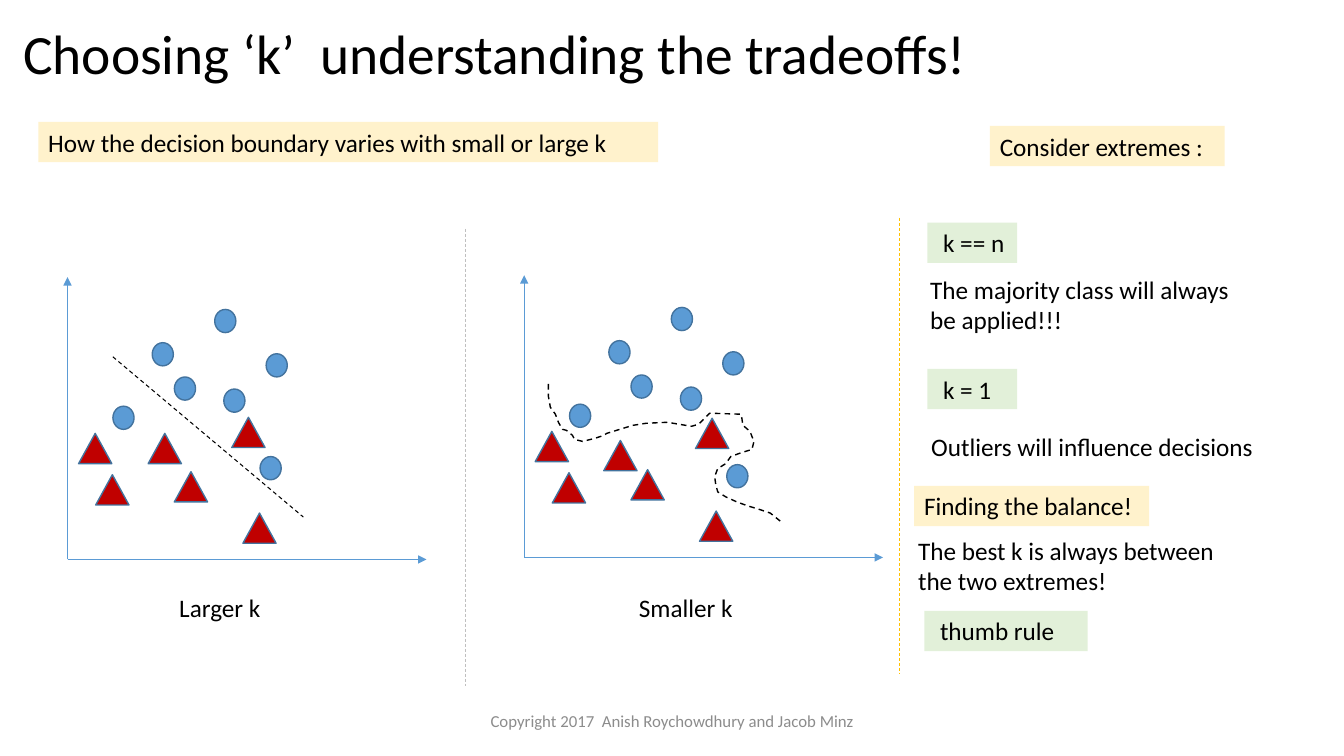
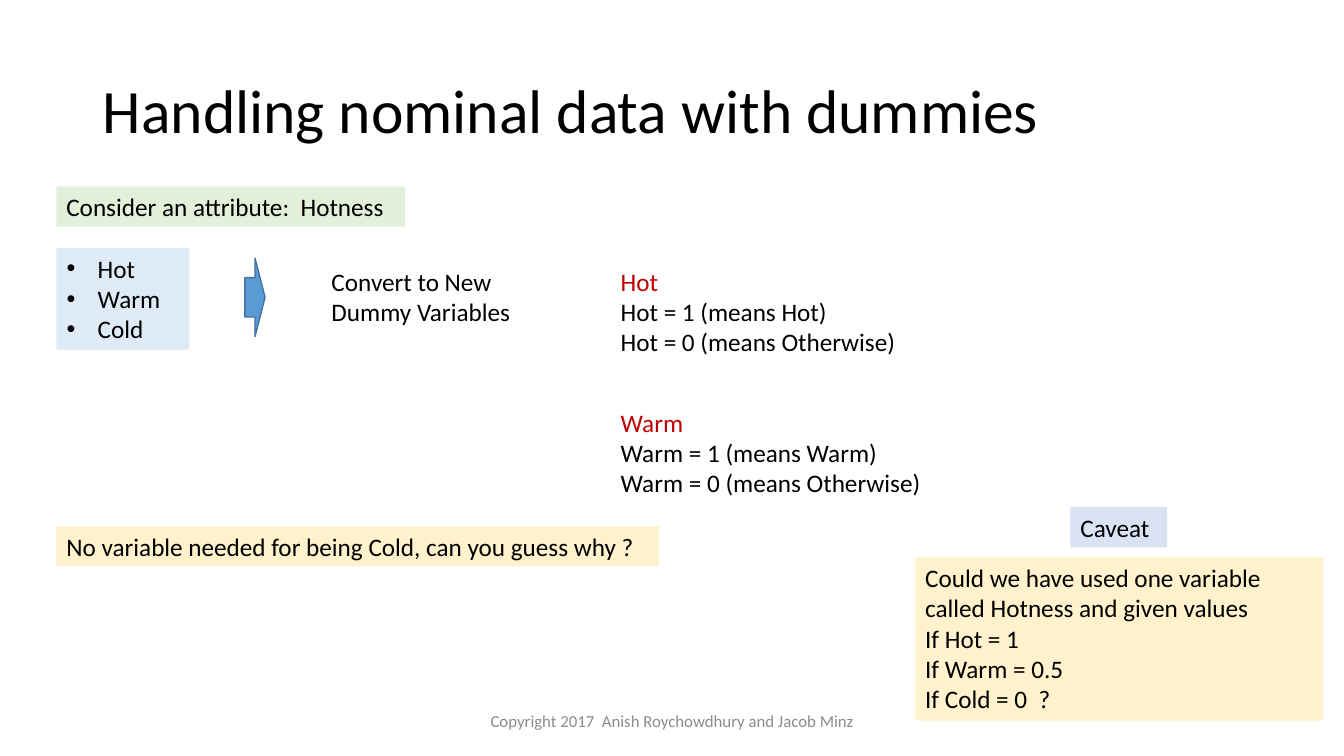
from dataclasses import dataclass
from lxml.etree import SubElement
from pptx import Presentation
from pptx.dml.color import RGBColor
from pptx.enum.dml import MSO_LINE
from pptx.enum.shapes import MSO_CONNECTOR, MSO_SHAPE
from pptx.enum.text import MSO_ANCHOR, MSO_AUTO_SIZE, PP_ALIGN
from pptx.oxml.ns import qn
from pptx.util import Inches, Pt


@dataclass(frozen=True)
class Theme:
    font: str = "Calibri"
    text: str = "000000"
    muted: str = "8C8C8C"
    red: str = "C00000"
    blue: str = "5B9BD5"
    outline: str = "43739E"
    gold: str = "FFC000"
    grey: str = "BFBFBF"
    cream: str = "FFF2CC"
    green: str = "E2F0D9"
    sky: str = "DEEBF7"
    lavender: str = "DAE3F3"
    title_size: float = 44
    tight_title_size: float = 39.6
    body_size: float = 18
    footer_size: float = 12


@dataclass(frozen=True)
class Box:
    x: float
    y: float
    w: float
    h: float

    def sub(self, x, y, w, h):
        return Box(self.x + x, self.y + y, w, h)

    def point(self, x, y):
        return cells(self.x + x), cells(self.y + y)

    def emu(self):
        return [cells(v) for v in (self.x, self.y, self.w, self.h)]


T = Theme()
COLS, ROWS = 133.33, 75
LINE = 4
FOOTER = "Copyright 2017  Anish Roychowdhury and Jacob Minz"

CIRCLES = [(8.4, 6.5), (10.6, 9.9), (14.6, 3.2), (15.5, 11.1), (19.7, 7.6), (4.5, 12.8)]
TRIANGLES = [(1.1, 15.5), (2.8, 19.6), (10.6, 19.3), (17.4, 23.4)]
STRAIGHT = [(4.5, 7.9), (23.4, 23.8)]
WINDING = [
    (2.4, 10.8), (2.4, 12), (2.6, 13.1), (3.1, 13.8), (3.4, 14.6), (3.8, 15.3),
    (4.2, 15.4), (4.8, 15.9), (5, 16.3), (5.8, 16.5), (7, 16.2), (7.9, 15.9),
    (8.2, 15.7), (9.5, 15.3), (10.8, 14.9), (12.1, 14.7), (14.2, 14.6), (16, 14.9),
    (16.6, 15), (17.3, 14.8), (18, 14.1), (18.4, 13.7), (21.5, 13.8), (21.6, 14.2),
    (21.7, 14.9), (22.4, 15.5), (22.8, 16.5), (22.6, 17.3), (21.6, 17.6), (20.5, 18),
    (20, 18.7), (19.2, 19.2), (18.9, 20), (19, 20.7), (19.2, 21.5), (20, 22),
    (21.1, 22.5), (22.2, 22.9), (23.2, 23.2), (24.4, 23.6), (25.4, 24.4),
]


def cells(n):
    return Inches(n / 10)


def rgb(color):
    return RGBColor.from_string(color)


def add_run(p, text, size=T.body_size, color=T.text):
    r = p.add_run()
    r.text = text
    r.font.name = T.font
    r.font.size = Pt(size)
    r.font.color.rgb = rgb(color)


def place(s, box):
    s.left, s.top, s.width, s.height = box.emu()


def write(s, lines, size=T.body_size, color=T.text, align=PP_ALIGN.LEFT,
          anchor=MSO_ANCHOR.TOP, heading=None):
    tf = s.text_frame
    tf.word_wrap = True
    tf.auto_size = MSO_AUTO_SIZE.NONE
    tf.vertical_anchor = anchor
    for i, line in enumerate(lines):
        p = tf.paragraphs[0] if i == 0 else tf.add_paragraph()
        p.alignment = align
        add_run(p, line, size, heading if heading and i == 0 else color)
    return tf


def add_text(slide, box, *lines, **style):
    return write(slide.shapes.add_textbox(*box.emu()), lines, **style)


def add_shape(slide, kind, box, fill, outline=None):
    s = slide.shapes.add_shape(kind, *box.emu())
    s.shadow.inherit = False
    s.fill.solid()
    s.fill.fore_color.rgb = rgb(fill)
    if outline:
        s.line.color.rgb = rgb(outline)
        s.line.width = Pt(1)
    else:
        s.line.fill.background()
    return s


def add_tag(slide, box, fill, *lines, indent=1):
    s = add_shape(slide, MSO_SHAPE.RECTANGLE, box, fill)
    write(s, lines).margin_left = cells(indent)


def add_line(slide, start, end, color, width=0.5, dashed=False, arrow=False):
    c = slide.shapes.add_connector(MSO_CONNECTOR.STRAIGHT, *start, *end)
    c.line.color.rgb = rgb(color)
    c.line.width = Pt(width)
    if dashed:
        c.line.dash_style = MSO_LINE.DASH
    if arrow:
        SubElement(c.line._get_or_add_ln(), qn("a:tailEnd"), type="triangle")
    SubElement(c._element.spPr, qn("a:effectLst"))


def add_curve(slide, points):
    builder = slide.shapes.build_freeform(*points[0])
    builder.add_line_segments(points[1:], close=False)
    s = builder.convert_to_shape()
    s.shadow.inherit = False
    s.fill.background()
    s.line.color.rgb = rgb(T.text)
    s.line.width = Pt(1)
    s.line.dash_style = MSO_LINE.DASH


def add_base(prs, layout, title, box, size):
    slide = prs.slides.add_slide(prs.slide_layouts[layout])
    s = slide.shapes.title
    place(s, box)
    tf = write(s, [title], size, anchor=MSO_ANCHOR.MIDDLE)
    tf.paragraphs[0].line_spacing = 0.9
    add_text(slide, Box(44.2, 69.5, 45, 4), FOOTER, size=T.footer_size,
             color=T.muted, align=PP_ALIGN.CENTER, anchor=MSO_ANCHOR.MIDDLE)
    return slide


def add_plot(slide, box, circles, triangles, boundary, label, label_box):
    origin = box.point(0, box.h)
    for end in (box.point(0, 0), box.point(box.w, box.h)):
        add_line(slide, origin, end, T.blue, arrow=True)
    points = [box.point(x, y) for x, y in boundary]
    if len(points) == 2:
        add_line(slide, *points, T.text, width=0.75, dashed=True)
    groups = [
        (MSO_SHAPE.OVAL, CIRCLES + circles, 2.1, 2.3, T.blue),
        (MSO_SHAPE.ISOSCELES_TRIANGLE, TRIANGLES + triangles, 3.3, 3, T.red),
    ]
    for kind, spots, w, h, fill in groups:
        for x, y in spots:
            add_shape(slide, kind, box.sub(x, y, w, h), fill, T.outline)
    if len(points) > 2:
        add_curve(slide, points)
    add_text(slide, box.sub(*label_box), label)


def add_extremes(slide, box):
    add_line(slide, box.point(0, 0), box.point(0, box.h), T.gold, dashed=True)
    tags = [
        (9, -9.1, 23.3, T.cream, "Consider extremes :", 1),
        (2.8, 0.5, 8.9, T.green, "k == n", 1.56),
        (2.8, 15, 8.9, T.green, "k = 1", 1.56),
        (1.5, 26.6, 23.3, T.cream, "Finding the balance!", 1),
        (2.5, 39, 16.2, T.green, "thumb rule", 1.56),
    ]
    for x, y, w, fill, text, indent in tags:
        add_tag(slide, box.sub(x, y, w, LINE), fill, text, indent=indent)
    notes = [
        (2.1, 5.1, 7.1, "The majority class will always be applied!!!"),
        (2.2, 20.7, LINE, "Outliers will influence decisions"),
        (0.9, 31, 7.1, "The best k is always between the two extremes!"),
    ]
    for x, y, h, text in notes:
        add_text(slide, box.sub(x, y, 34.4, h), text)


def add_tradeoff_slide(prs):
    slide = add_base(prs, 5, "Choosing ‘k’  understanding the tradeoffs!",
                     Box(1.3, 2.8, 115, 5.7), T.tight_title_size)
    add_tag(slide, Box(3.8, 12.1, 61.5, LINE), T.cream,
            "How the decision boundary varies with small or large k")
    add_plot(slide, Box(6.7, 27.5, 35.6, 28), [(19.1, 17.8)], [(8, 15.5), (16.3, 13.9)],
             STRAIGHT, "Larger k", (10.1, 30.8, 10.7, LINE))
    divider = Box(46.2, 22.7, 0, 45.4)
    add_line(slide, divider.point(0, 0), divider.point(0, divider.h), T.grey, dashed=True)
    add_plot(slide, Box(52, 27.3, 35.6, 28), [(20.1, 18.8)], [(7.9, 16.4), (17, 14.2)],
             WINDING, "Smaller k", (10.4, 31, 12.2, LINE))
    add_extremes(slide, Box(89.2, 21.6, 44, 45.3))


def add_values(s, box, values):
    place(s, box)
    s.fill.solid()
    s.fill.fore_color.rgb = rgb(T.sky)
    for p in write(s, values).paragraphs:
        p.space_before = Pt(0)
        pPr = p._p.get_or_add_pPr()
        pPr.set("marL", str(cells(3.1)))
        pPr.set("indent", str(-cells(3.1)))


def add_conversion(slide, box):
    add_values(slide.placeholders[1], box.sub(0, 0, 13.2, 10.1), ["Hot", "Warm", "Cold"])
    add_text(slide, box.sub(26.3, 1.3, 21.2, 7.1), "Convert to New Dummy Variables")
    add_shape(slide, MSO_SHAPE.RIGHT_ARROW, box.sub(18.7, 1, 2, 7.8), T.blue, T.outline)
    for i, name in enumerate(("Hot", "Warm")):
        add_text(slide, box.sub(55, 1.3 + 14 * i, 32, 10.1), name,
                 f"{name} = 1 (means {name})", f"{name} = 0 (means Otherwise)",
                 heading=T.red)


def add_caveat(slide, box):
    add_tag(slide, box.sub(15.4, 0, 9.6, LINE), T.lavender, "Caveat")
    add_tag(slide, box.sub(0, 5, box.w, box.h - 5), T.cream,
            "Could we have used one variable called Hotness and given values",
            "If Hot = 1", "If Warm = 0.5", "If Cold = 0  ?")


def add_dummies_slide(prs):
    slide = add_base(prs, 1, "Handling nominal data with dummies",
                     Box(9.2, 4, 115, 14.5), T.title_size)
    left = 5.6
    add_tag(slide, Box(left, 18.5, 34.6, LINE), T.green, "Consider an attribute:  Hotness")
    add_conversion(slide, Box(left, 24.6, 87, 26))
    add_tag(slide, Box(left, 52.2, 59.8, LINE), T.cream,
            "No variable needed for being Cold, can you guess why ?")
    add_caveat(slide, Box(90.8, 50.3, 40.5, 21.2))


def main():
    prs = Presentation()
    prs.slide_width, prs.slide_height = cells(COLS), cells(ROWS)
    add_tradeoff_slide(prs)
    add_dummies_slide(prs)
    prs.save("out.pptx")


if __name__ == "__main__":
    main()
